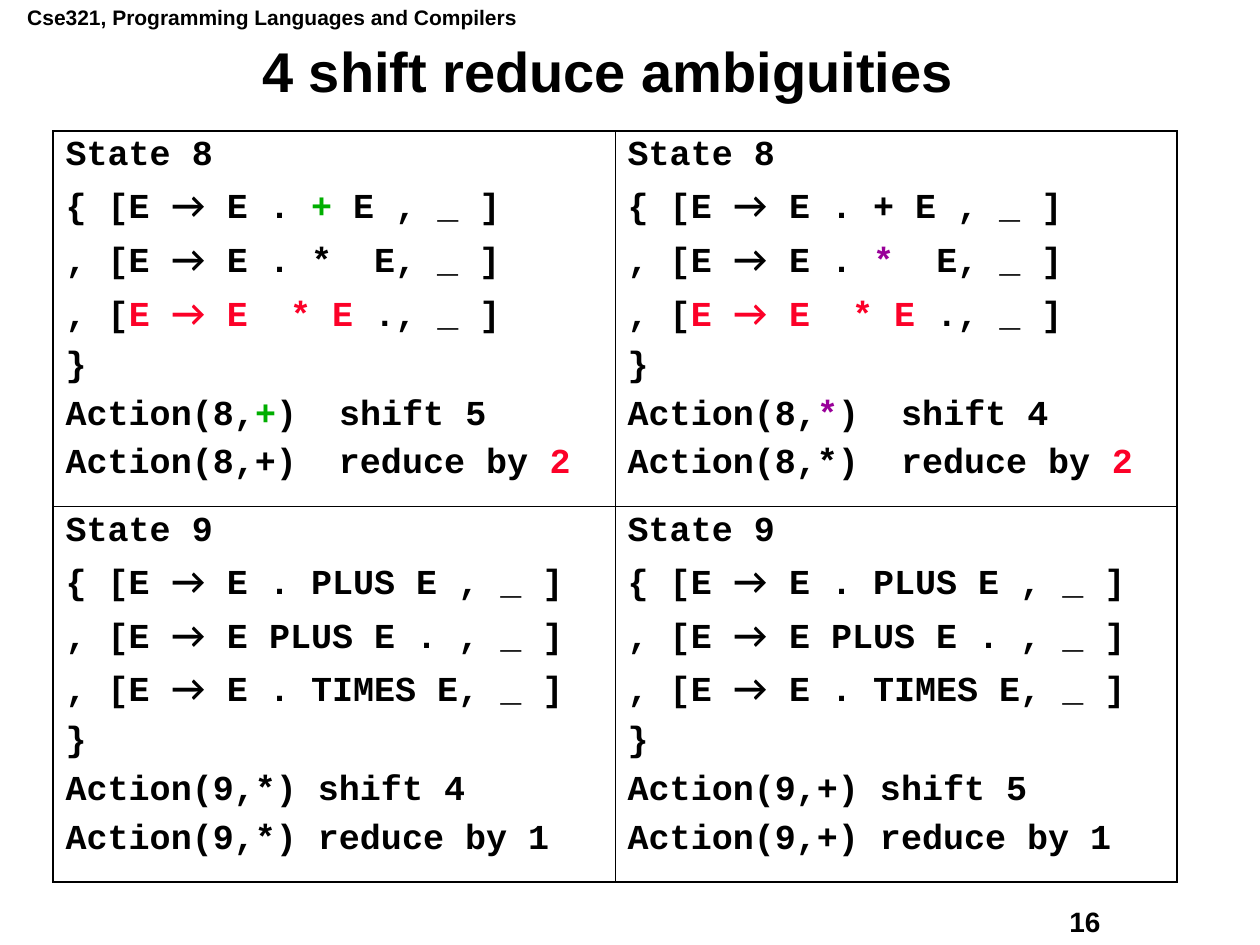
from lxml import etree
from pptx import Presentation
from pptx.dml.color import RGBColor
from pptx.enum.text import MSO_ANCHOR, PP_ALIGN
from pptx.oxml.ns import qn
from pptx.util import Cm, Pt

MIDDLE = MSO_ANCHOR.MIDDLE
LEFT, CENTER = PP_ALIGN.LEFT, PP_ALIGN.CENTER

BLACK = RGBColor(0x00, 0x00, 0x00)
GREEN = RGBColor(0x00, 0xAE, 0x00)
PURPLE = RGBColor(0x99, 0x00, 0x99)
RED = RGBColor(0xFC, 0x01, 0x28)

HEADING_FONT, CODE_FONT, ARROW_FONT = "Arial", "Courier New", "Lato"
ARROW = "→"

# text, left, top, width, height (cm), size (pt), alignment, wrap
HEADINGS = [
    ("Cse321, Programming Languages and Compilers", 0.3, -0.03, 10.4, 0.76, 12, LEFT, False),
    ("16", 21.31, 18.11, 3.23, 0.91, 16, LEFT, False),
    ("4 shift reduce ambiguities", 0.79, 0.79, 22.94, 1.42, 32, CENTER, True),
]

# A line is a list of pieces; a piece is (text, colour).
STATE_8_REDUCE = [(", [", BLACK), ("E → E  * E", RED), (" ., _ ]", BLACK)]
STATE_9_ITEMS = [[(text, BLACK)] for text in (
    "State 9",
    "{ [E → E . PLUS E , _ ]",
    ", [E → E PLUS E . , _ ]",
    ", [E → E . TIMES E, _ ]",
    "}",
)]


def state_8(token, colour, target):
    """Lines of state 8, with the conflicting token picked out in a colour."""
    plus, star = (colour if token == sign else BLACK for sign in "+*")
    return [
        [("State 8", BLACK)],
        [("{ [E → E . ", BLACK), ("+", plus), (" E , _ ]", BLACK)],
        [(", [E → E . ", BLACK), ("*", star), ("  E, _ ]", BLACK)],
        STATE_8_REDUCE,
        [("}", BLACK)],
        [("Action(8,", BLACK), (token, colour), (f")  shift {target}", BLACK)],
        [(f"Action(8,{token})  reduce by ", BLACK), ("2", RED)],
    ]


def state_9(token, target):
    return STATE_9_ITEMS + [
        [(f"Action(9,{token}) shift {target}", BLACK)],
        [(f"Action(9,{token}) reduce by 1", BLACK)],
    ]


AMBIGUITIES = [
    [state_8("+", GREEN, 5), state_8("*", PURPLE, 4)],
    [state_9("*", 4), state_9("+", 5)],
]

TABLE_LEFT, TABLE_TOP = 1.07, 2.64
COLUMN_WIDTH, ROW_HEIGHT = 11.33, 7.57
OUTER_LINE, INNER_LINE = Pt(1.08), Pt(0.45)


def add_run(paragraph, text, font, size, colour):
    run = paragraph.add_run()
    run.text = text
    run.font.color.rgb = colour
    for name, value in {"name": font, "size": Pt(size), "bold": True}.items():
        setattr(run.font, name, value)


def add_heading(slide, text, left, top, width, height, size, alignment, wrap):
    frame = slide.shapes.add_textbox(Cm(left), Cm(top), Cm(width), Cm(height)).text_frame
    frame.word_wrap = wrap
    paragraph = frame.paragraphs[0]
    paragraph.alignment = alignment
    if wrap:
        frame.vertical_anchor = MIDDLE
        paragraph.line_spacing = 0.9
    add_run(paragraph, text, HEADING_FONT, size, BLACK)


def write_lines(frame, lines):
    for index, line in enumerate(lines):
        paragraph = frame.add_paragraph() if index else frame.paragraphs[0]
        paragraph.line_spacing = 0.9
        paragraph.space_before = Pt(7.5 if index else 0)
        for text, colour in line:
            fonts = (CODE_FONT, ARROW_FONT, CODE_FONT)
            for part, font in zip(text.partition(ARROW), fonts):
                if part:
                    add_run(paragraph, part, font, 20, colour)


def draw_borders(cell, row, column):
    """Thick lines round the table, thin lines between its cells."""
    outer = {"lnL": column == 0, "lnR": column == 1, "lnT": row == 0, "lnB": row == 1}
    properties = cell._tc.get_or_add_tcPr()
    for side, is_outer in outer.items():
        line = etree.SubElement(properties, qn(f"a:{side}"),
                                w=str(OUTER_LINE if is_outer else INNER_LINE))
        fill = etree.SubElement(line, qn("a:solidFill"))
        etree.SubElement(fill, qn("a:srgbClr"), val=str(BLACK))


def add_ambiguity_table(slide):
    rows, columns = len(AMBIGUITIES), len(AMBIGUITIES[0])
    table = slide.shapes.add_table(
        rows, columns, Cm(TABLE_LEFT), Cm(TABLE_TOP),
        Cm(COLUMN_WIDTH * columns), Cm(ROW_HEIGHT * rows)).table
    table.first_row = table.horz_banding = False
    for row, states in enumerate(AMBIGUITIES):
        for column, lines in enumerate(states):
            cell = table.cell(row, column)
            draw_borders(cell, row, column)
            cell.fill.background()
            write_lines(cell.text_frame, lines)


def main():
    deck = Presentation()
    deck.slide_width, deck.slide_height = Cm(25.4), Cm(19.05)
    slide = deck.slides.add_slide(deck.slide_layouts[6])
    for heading in HEADINGS:
        add_heading(slide, *heading)
    add_ambiguity_table(slide)
    deck.save("out.pptx")


if __name__ == "__main__":
    main()
